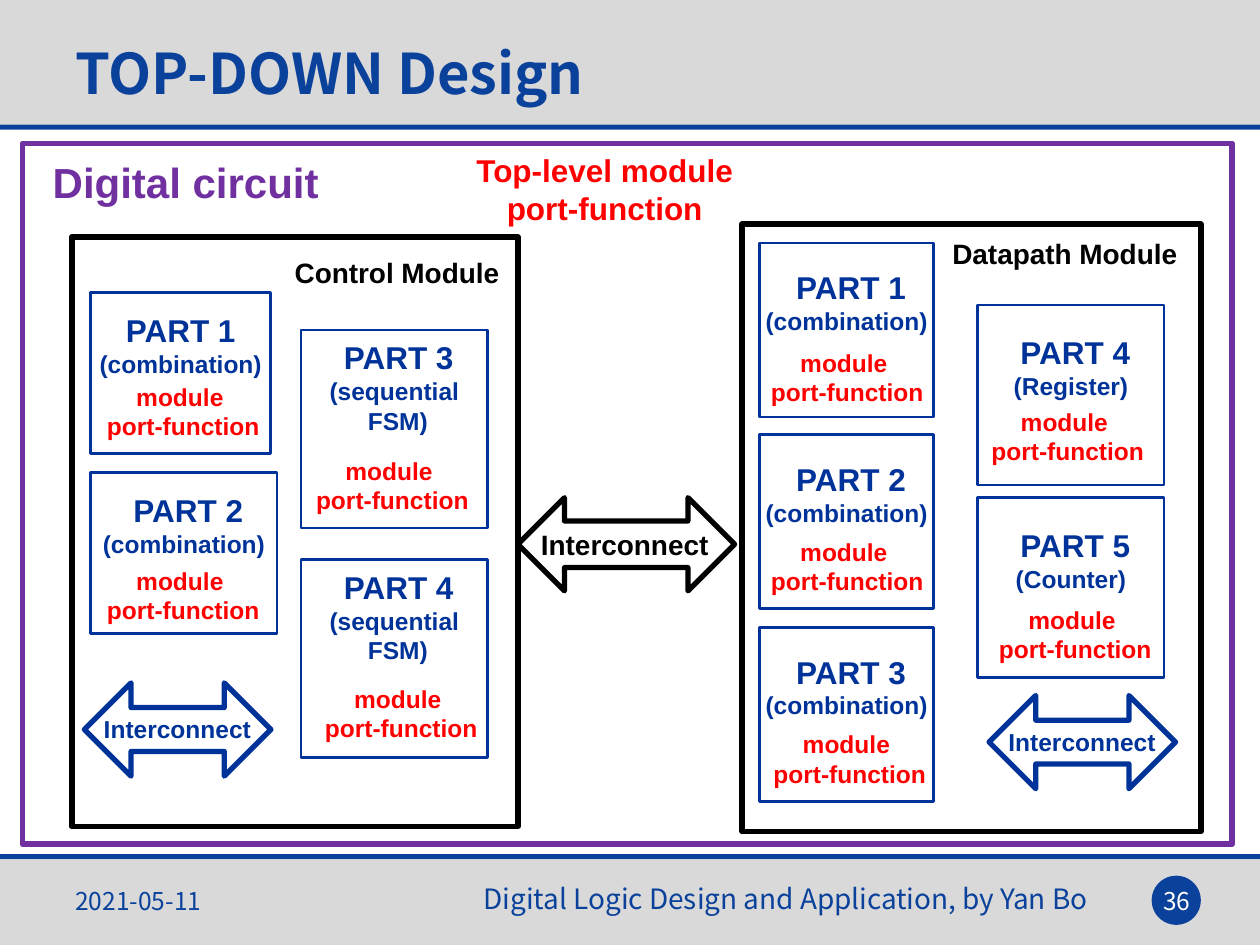
from pptx import Presentation
from pptx.dml.color import RGBColor
from pptx.enum.shapes import MSO_SHAPE as Shape
from pptx.enum.text import MSO_ANCHOR as Anchor, PP_ALIGN as Align
from pptx.util import Inches, Pt

COLUMNS, ROWS = 100, 75
SLIDE_WIDTH, SLIDE_HEIGHT = Inches(10), Inches(7.5)
COLORS = {
    "band": "D9D9D9", "theme": "0A419B", "part": "003399", "frame": "7030A0",
    "module": "000000", "port": "FF0000", "white": "FFFFFF",
}
BODY_FONT, THEME_FONT = "Arial", "Noto Sans CJK SC"
LINE_HEIGHT = 1.15
COMBINATION, SEQUENTIAL = ["(combination)"], ["(sequential", " FSM)"]

# Part box (column, row, width, height), name, kind, corner of its port label
PARTS = [
    ((7.2, 23.2, 14.3, 12.8), "PART 1", COMBINATION, (7.4, 29.8)),
    ((7.2, 37.5, 14.8, 12.8), " PART 2", COMBINATION, (7.4, 44.4)),
    ((23.9, 26.2, 14.8, 15.7), " PART 3", SEQUENTIAL, (24, 35.7)),
    ((23.9, 44.4, 14.8, 15.7), " PART 4", SEQUENTIAL, (24.7, 53.8)),
    ((60.3, 19.3, 13.8, 13.8), " PART 1", COMBINATION, (60.1, 27.1)),
    ((60.3, 34.5, 13.8, 13.8), " PART 2", COMBINATION, (60.1, 42.1)),
    ((60.3, 49.8, 13.8, 13.8), " PART 3", COMBINATION, (60.3, 57.4)),
    ((77.6, 24.2, 14.8, 14.3), " PART 4", ["(Register)"], (77.6, 31.8)),
    ((77.6, 39.5, 14.8, 14.3), " PART 5", ["(Counter)"], (78.2, 47.5)),
]


def color(name):
    return RGBColor.from_string(COLORS[name])


def grid(column, row, width, height):
    """Turn grid cells into slide lengths."""
    cell_width, cell_height = SLIDE_WIDTH / COLUMNS, SLIDE_HEIGHT / ROWS
    return (round(column * cell_width), round(row * cell_height),
            round(width * cell_width), round(height * cell_height))


def write(frame, lines, ink, font=BODY_FONT, bold=True, align=Align.LEFT):
    """Fill a text frame with (text, size) lines."""
    frame.text = "\n".join(text for text, _ in lines)
    for para, (_, size) in zip(frame.paragraphs, lines):
        para.alignment = align
        for span in para.runs:
            span.font.name = font
            span.font.size = Pt(size)
            span.font.bold = bold
            span.font.color.rgb = color(ink)


def add_solid(page, kind, area, fill):
    shape = page.shapes.add_shape(kind, *grid(*area))
    shape.shadow.inherit = False
    shape.fill.solid()
    shape.fill.fore_color.rgb = color(fill)
    shape.line.fill.background()


def add_outline(page, kind, area, ink, weight):
    shape = page.shapes.add_shape(kind, *grid(*area))
    shape.shadow.inherit = False
    shape.fill.background()
    shape.line.color.rgb = color(ink)
    shape.line.width = Pt(weight)
    return shape


def add_label(page, area, lines, ink, wrap=True, anchor=Anchor.TOP, **style):
    frame = page.shapes.add_textbox(*grid(*area)).text_frame
    frame.word_wrap = wrap
    frame.vertical_anchor = anchor
    write(frame, lines, ink, **style)


def add_part(page, area, name, kind, port_corner):
    """Add a part box, with room below its name for the red port label."""
    box = add_outline(page, Shape.RECTANGLE, area, "part", 1.5)
    frame = box.text_frame
    frame.word_wrap = False
    frame.vertical_anchor = Anchor.MIDDLE
    frame.margin_left = frame.margin_right = frame.margin_top = 0
    frame.margin_bottom = Pt((len(kind) + 1) * 14 * LINE_HEIGHT)
    lines = [(name, 18)] + [(text, 14) for text in kind]
    write(frame, lines, "part", align=Align.CENTER)
    add_label(page, (*port_corner, 14.3, 5.7),
              [("module ", 14), ("port-function", 14)], "port", align=Align.CENTER)


def add_interconnect(page, area, ink, size, label_size, shaft=0.5):
    """Add a double arrow with its label centred on it."""
    arrow = add_outline(page, Shape.LEFT_RIGHT_ARROW, area, ink, 3)
    arrow.adjustments[0] = shaft
    column, row, width, height = area
    label_width, label_height = label_size
    label_area = (column + (width - label_width) / 2,
                  row + (height - label_height) / 2, label_width, label_height)
    add_label(page, label_area, [("Interconnect", size)], ink, wrap=False)


def add_header_and_footer(page):
    for row, height in ((68.2, 6.8), (0, 9.9)):
        add_solid(page, Shape.RECTANGLE, (0, row, COLUMNS, height), "band")
    add_solid(page, Shape.OVAL, (91.4, 69.5, 3.9, 3.9), "theme")
    for row in (9.9, 67.8):
        add_solid(page, Shape.RECTANGLE, (0, row, COLUMNS, 0.4), "theme")
    plain = {"font": THEME_FONT, "bold": False}
    add_label(page, (37.4, 69.5, 52.8, 5.5),
              [("Digital Logic Design and Application, by Yan Bo", 16)], "theme", **plain)
    add_label(page, (5, 2.4, 71.6, 6.7), [("TOP-DOWN Design", 32)], "theme",
              anchor=Anchor.MIDDLE, font=THEME_FONT)
    add_label(page, (5, 69.5, 23.3, 4), [("2021-05-11", 14)], "theme",
              anchor=Anchor.MIDDLE, **plain)
    add_label(page, (91, 69.5, 4.8, 4), [("36", 14)], "white",
              anchor=Anchor.MIDDLE, align=Align.CENTER, **plain)


def add_modules(page):
    add_outline(page, Shape.RECTANGLE, (1.8, 11.4, 96, 55.6), "frame", 3.25)
    add_label(page, (3.2, 11.9, 23.3, 5.1), [("Digital circuit", 24)], "frame", wrap=False)
    add_label(page, (34.7, 11.5, 26.6, 7.1),
              [("Top-level module", 18), ("port-function", 18)], "port", align=Align.CENTER)
    modules = [
        ((5.7, 18.8, 35.4, 46.8), "Control Module", (22.4, 19.8, 18.5, 3.7)),
        ((58.9, 17.8, 36.4, 48.2), "Datapath Module", (74.6, 18.3, 20.1, 3.7)),
    ]
    for area, name, name_area in modules:
        add_outline(page, Shape.RECTANGLE, area, "module", 3.25)
        add_label(page, name_area, [(name, 16)], "module", wrap=False)


def main():
    deck = Presentation()
    deck.slide_width, deck.slide_height = SLIDE_WIDTH, SLIDE_HEIGHT
    page = deck.slides.add_slide(deck.slide_layouts[6])
    add_header_and_footer(page)
    add_modules(page)
    for part in PARTS:
        add_part(page, *part)
    add_interconnect(page, (41.1, 39.5, 17.2, 7.4), "module", 16, (15.5, 3.7))
    for column, row in ((6.7, 54.2), (78.5, 55.2)):
        add_interconnect(page, (column, row, 14.8, 7.4), "part", 14, (13.7, 3.4), 0.47)
    deck.save("out.pptx")


if __name__ == "__main__":
    main()
